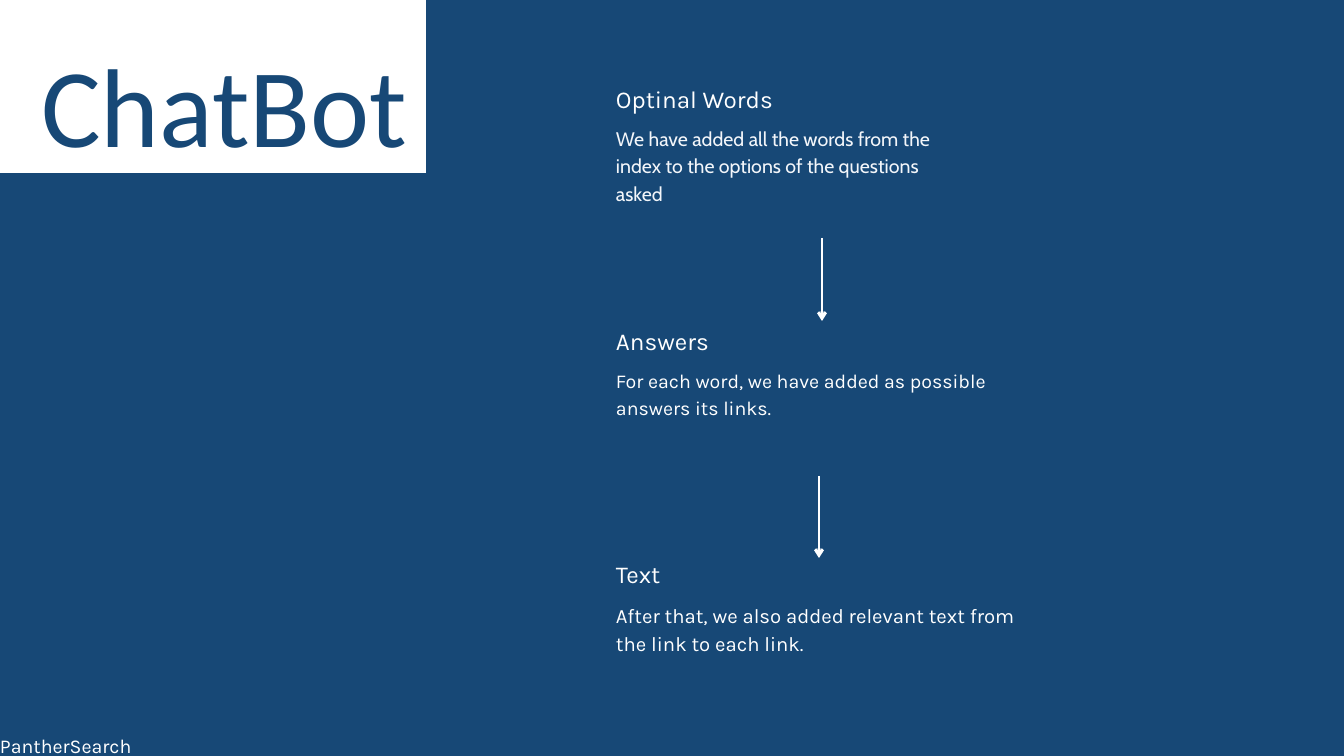
from lxml import etree
from pptx import Presentation
from pptx.dml.color import RGBColor
from pptx.enum.shapes import MSO_CONNECTOR, MSO_SHAPE
from pptx.enum.text import MSO_ANCHOR, MSO_AUTO_SIZE, PP_ALIGN
from pptx.oxml.ns import qn
from pptx.util import Emu, Pt

STRAIGHT = MSO_CONNECTOR.STRAIGHT
RECTANGLE = MSO_SHAPE.RECTANGLE
TOP = MSO_ANCHOR.TOP
LEFT = PP_ALIGN.LEFT
NO_AUTOFIT = MSO_AUTO_SIZE.NONE

EMU_PER_PX = 914400 / 67.2
LINE_SPACING = 1.4
TITLE_ONLY = 5

NAVY = "174876"
WHITE = "FFFFFF"
PALE = "F3F6FA"

STEP_LEFT = 616
HEADING_SIZE = (339, 33)
STEPS = [
    ("Optinal Words", 79,
     "We have added all the words from the index to the options of the questions asked",
     (123, 339, 89), ("Cabin", 21, PALE)),
    ("Answers", 321,
     "For each word, we have added as possible answers its links.",
     (365, 370, 54), ("Karla", 21, WHITE)),
    ("Text", 554,
     "After that, we also added relevant text from the link to each link.",
     (599, 411, 54), ("Karla", 21.8, WHITE)),
]
ARROWS = [(822, 238, 321), (819, 476, 558)]


def px(length):
    """Turn pixels into EMU."""
    return Emu(round(length * EMU_PER_PX))


def color(hex_text):
    """Turn a hex string into a colour."""
    return RGBColor.from_string(hex_text)


def write_text(shape, text, font_name, size, hex_text):
    """Fill a shape with one left-aligned run and no insets."""
    frame = shape.text_frame
    frame.word_wrap = True
    frame.auto_size = NO_AUTOFIT
    frame.vertical_anchor = TOP
    frame.margin_left = frame.margin_top = frame.margin_right = frame.margin_bottom = 0
    paragraph = frame.paragraphs[0]
    paragraph.alignment = LEFT
    paragraph.space_before = Pt(0)
    paragraph.line_spacing = Pt(round(size * LINE_SPACING, 1))
    run = paragraph.add_run()
    run.text = text
    run.font.name = font_name
    run.font.size = Pt(size)
    run.font.color.rgb = color(hex_text)


def add_text(slide, box, text, font_name, size, hex_text):
    """Add a text box at left, top, width, height."""
    shape = slide.shapes.add_textbox(*map(px, box))
    write_text(shape, text, font_name, size, hex_text)


def add_panel(slide, box, hex_text):
    """Add a plain filled rectangle."""
    panel = slide.shapes.add_shape(RECTANGLE, *map(px, box))
    panel.shadow.inherit = False
    panel.fill.solid()
    panel.fill.fore_color.rgb = color(hex_text)
    panel.line.fill.background()
    return panel


def set_title(slide, panel, box, text):
    """Place the title placeholder in front of its panel."""
    title = slide.shapes.title
    title.left, title.top, title.width, title.height = map(px, box)
    write_text(title, text, "Calibri", 120, NAVY)
    panel._element.addnext(title._element)


def add_arrow(slide, x, top, bottom):
    """Add a downward arrow."""
    arrow = slide.shapes.add_connector(STRAIGHT, px(x), px(top), px(x), px(bottom))
    arrow.line.color.rgb = color(WHITE)
    arrow.line.width = Pt(3)
    etree.SubElement(arrow.line._get_or_add_ln(), qn("a:tailEnd"), type="arrow")
    etree.SubElement(arrow._element.spPr, qn("a:effectLst"))


def add_step(slide, heading, heading_top, body, body_box, body_style):
    """Add a heading and the explanation below it."""
    add_text(slide, (STEP_LEFT, heading_top, *HEADING_SIZE), heading, "Karla", 26, WHITE)
    add_text(slide, (STEP_LEFT, *body_box), body, *body_style)


def main():
    """Build the chatbot slide and save it."""
    presentation = Presentation()
    presentation.slide_width = px(1344)
    presentation.slide_height = px(756)
    slide = presentation.slides.add_slide(presentation.slide_layouts[TITLE_ONLY])
    slide.background.fill.solid()
    slide.background.fill.fore_color.rgb = color(NAVY)

    panel = add_panel(slide, (0, 0, 426, 173), WHITE)
    set_title(slide, panel, (41, 13, 495, 152), "ChatBot")
    for step in STEPS:
        add_step(slide, *step)
    for arrow in ARROWS:
        add_arrow(slide, *arrow)
    add_text(slide, (0, 730, 289, 26), "PantherSearch", "Karla", 21, WHITE)

    presentation.save("out.pptx")


if __name__ == "__main__":
    main()
